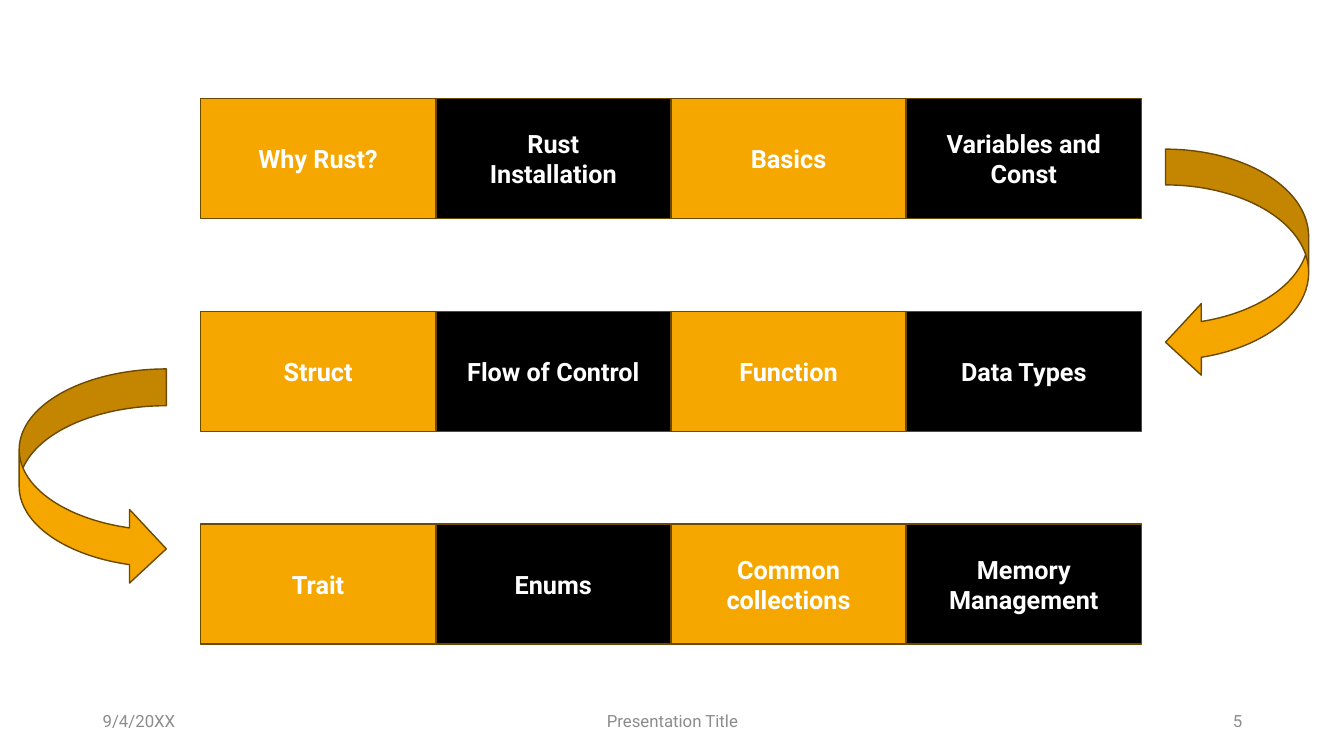
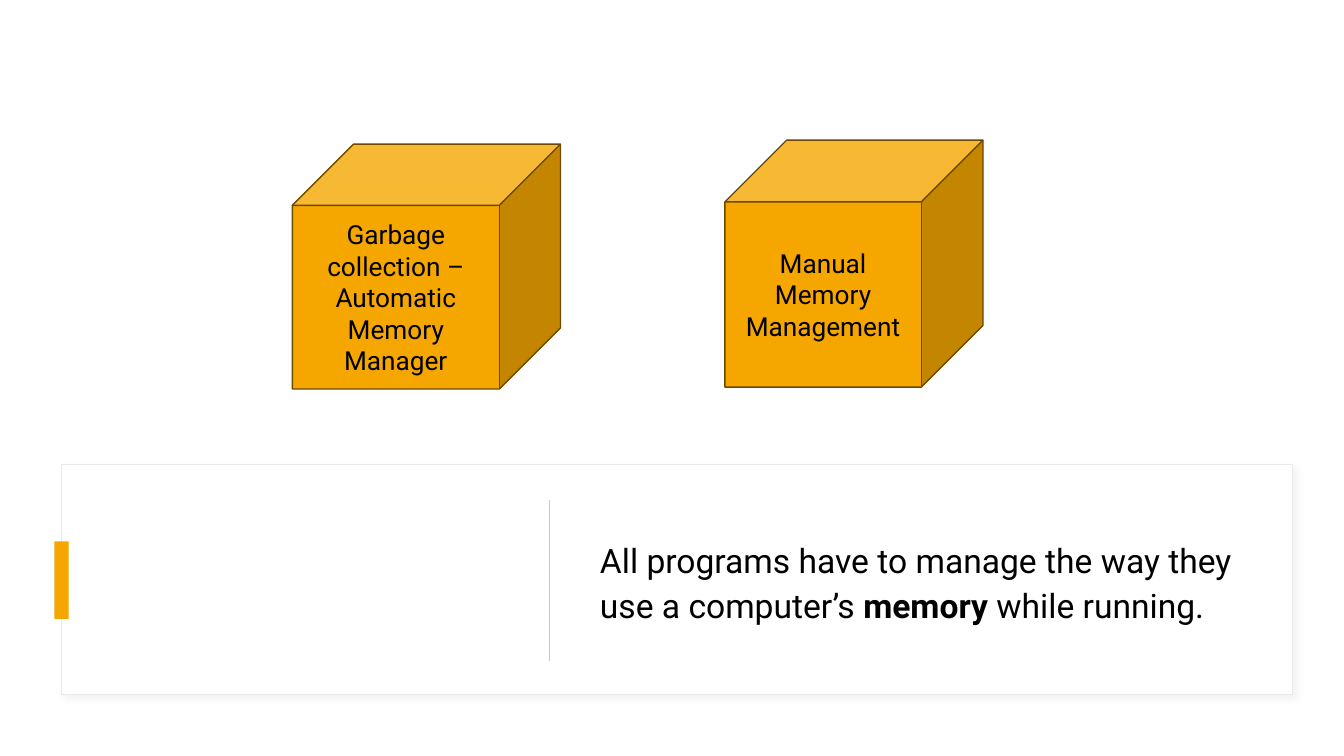
import pptx
import pptx.dml.color
import pptx.enum.shapes
import pptx.enum.text
import pptx.oxml.ns
import pptx.util
from lxml import etree

Inches, Pt = pptx.util.Inches, pptx.util.Pt
RGBColor = pptx.dml.color.RGBColor
MSO_SHAPE = pptx.enum.shapes.MSO_SHAPE
PP_ALIGN = pptx.enum.text.PP_ALIGN
qn = pptx.oxml.ns.qn

FONT = "Roboto"
ORANGE = RGBColor(0xF5, 0xA7, 0x00)
BROWN = RGBColor(0x6B, 0x49, 0x00)
BLACK = RGBColor(0x00, 0x00, 0x00)
WHITE = RGBColor(0xFF, 0xFF, 0xFF)
FOOTER_GRAY = RGBColor(0x8C, 0x8C, 0x8C)
FRAME_GRAY = RGBColor(0xE9, 0xE9, 0xE9)
DIVIDER_GRAY = RGBColor(0xC9, 0xC9, 0xC9)

BODY_LAYOUT, BLANK_LAYOUT = 1, 6

TOPIC_ROWS = [
    ["Why Rust?", "Rust\nInstallation", "Basics", "Variables and Const"],
    ["Struct", "Flow of Control", "Function", "Data Types"],
    ["Trait", "Enums", "Common collections", "Memory Management"],
]
GRID_LEFT, GRID_TOP = 1.99, 0.98
COLUMN_STEP, ROW_STEP = 7 / 3, 2.11
TOPIC_WIDTH, TOPIC_HEIGHT = 2.33, 1.19


def inches(box):
    return [Inches(length) for length in box]


def write_text(shape, text, size, color=BLACK, bold=False, strong="",
               align=PP_ALIGN.LEFT, line_spacing=1.0, space_after=0):
    """Fill a shape with one paragraph per line; the phrase in strong is bold."""
    frame = shape.text_frame
    frame.word_wrap = True
    frame.auto_size = pptx.enum.text.MSO_AUTO_SIZE.NONE
    frame.vertical_anchor = pptx.enum.text.MSO_ANCHOR.MIDDLE
    for number, line in enumerate(text.split("\n")):
        paragraph = frame.add_paragraph() if number else frame.paragraphs[0]
        paragraph.alignment = align
        paragraph.line_spacing = line_spacing
        paragraph.space_before = Pt(0)
        paragraph.space_after = Pt(space_after)
        before, match, after = line.partition(strong) if strong else (line, "", "")
        for words, weight in ((before, bold), (match, True), (after, bold)):
            if words:
                run = paragraph.add_run()
                run.text = words
                run.font.name = FONT
                run.font.size = Pt(size)
                run.font.bold = weight
                run.font.color.rgb = color


def add_block(slide, kind, box, fill=ORANGE, line=BROWN):
    block = slide.shapes.add_shape(kind, *inches(box))
    block.shadow.inherit = False
    block.fill.solid()
    block.fill.fore_color.rgb = fill
    if line is None:
        block.line.fill.background()
    else:
        block.line.color.rgb = line
        block.line.width = Pt(1)
    return block


def add_soft_shadow(shape):
    effects = shape.element.spPr.find(qn("a:effectLst"))
    shadow = etree.SubElement(effects, qn("a:outerShdw"), blurRad=str(Pt(4)),
                              dist=str(Pt(3)), dir=str(45 * 60000))
    color = etree.SubElement(shadow, qn("a:srgbClr"), val="D9D9D9")
    etree.SubElement(color, qn("a:alpha"), val="30000")


def add_divider(slide, x, top, bottom):
    divider = slide.shapes.add_connector(
        pptx.enum.shapes.MSO_CONNECTOR.STRAIGHT, *inches((x, top, x, bottom)))
    divider.line.color.rgb = DIVIDER_GRAY
    divider.line.width = Pt(1)
    etree.SubElement(divider.element.spPr, qn("a:effectLst"))


def add_footer(slide, date, title, number):
    for text, left, width, align in (
            (date, 0.92, 3, PP_ALIGN.LEFT),
            (title, 4.42, 4.5, PP_ALIGN.CENTER),
            (number, 9.42, 3, PP_ALIGN.RIGHT)):
        footer = slide.shapes.add_textbox(*inches((left, 6.95, width, 0.4)))
        write_text(footer, text, size=12, color=FOOTER_GRAY, align=align)


def add_cube(slide, box, text):
    cube = add_block(slide, MSO_SHAPE.CUBE, box)
    write_text(cube, text, size=18.7, align=PP_ALIGN.CENTER, space_after=6)


def write_body(slide, box, text, **text_format):
    """Place the body placeholder without a bullet, above the shapes so far."""
    body = slide.placeholders[1]
    body.left, body.top, body.width, body.height = inches(box)
    properties = body.text_frame.paragraphs[0]._p.get_or_add_pPr()
    properties.set("marL", "0")
    properties.set("indent", "0")
    etree.SubElement(properties, qn("a:buNone"))
    write_text(body, text, **text_format)
    slide.shapes._spTree.append(body.element)


def build_topics(slide):
    add_footer(slide, "9/4/20XX", "Presentation Title", "5")
    for row, topics in enumerate(TOPIC_ROWS):
        for column, topic in enumerate(topics):
            box = (GRID_LEFT + column * COLUMN_STEP, GRID_TOP + row * ROW_STEP,
                   TOPIC_WIDTH, TOPIC_HEIGHT)
            cell = add_block(slide, MSO_SHAPE.RECTANGLE, box,
                             fill=BLACK if column % 2 else ORANGE)
            write_text(cell, topic, size=18, color=WHITE, bold=True,
                       align=PP_ALIGN.CENTER)
    add_block(slide, MSO_SHAPE.CURVED_RIGHT_ARROW, (0.19, 3.66, 1.46, 2.15))
    add_block(slide, MSO_SHAPE.CURVED_LEFT_ARROW, (11.56, 1.48, 1.42, 2.27))


def build_memory(slide):
    title = slide.shapes.title.element
    title.getparent().remove(title)
    card = add_block(slide, MSO_SHAPE.RECTANGLE, (0.61, 4.61, 12.21, 2.28),
                     fill=WHITE, line=FRAME_GRAY)
    add_soft_shadow(card)
    add_block(slide, MSO_SHAPE.RECTANGLE, (0.54, 5.37, 0.14, 0.77), line=None)
    add_divider(slide, x=5.45, top=4.96, bottom=6.56)
    write_body(slide, (5.85, 4.86, 6.57, 1.8),
               "All programs have to manage the way they use a computer’s "
               "memory while running.",
               size=24, strong="memory ", line_spacing=1.1, space_after=6)
    add_cube(slide, (2.9, 1.43, 2.66, 2.43),
             "Garbage collection – Automatic Memory Manager")
    add_cube(slide, (7.19, 1.39, 2.56, 2.45), "Manual Memory Management")


def main():
    deck = pptx.Presentation()
    deck.slide_width, deck.slide_height = Inches(13.33), Inches(7.5)
    for layout, build in ((BLANK_LAYOUT, build_topics), (BODY_LAYOUT, build_memory)):
        build(deck.slides.add_slide(deck.slide_layouts[layout]))
    deck.save("out.pptx")


if __name__ == "__main__":
    main()
